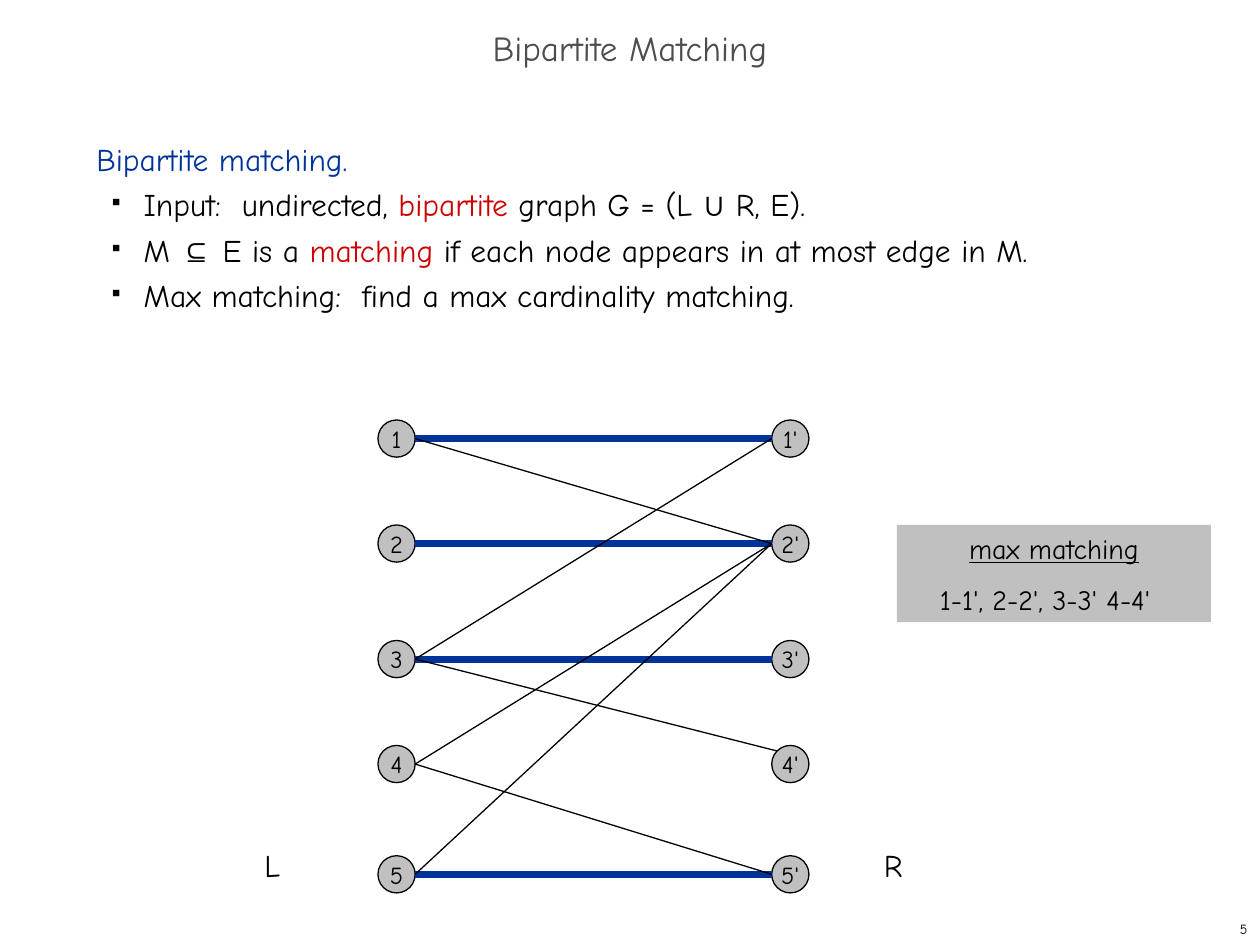
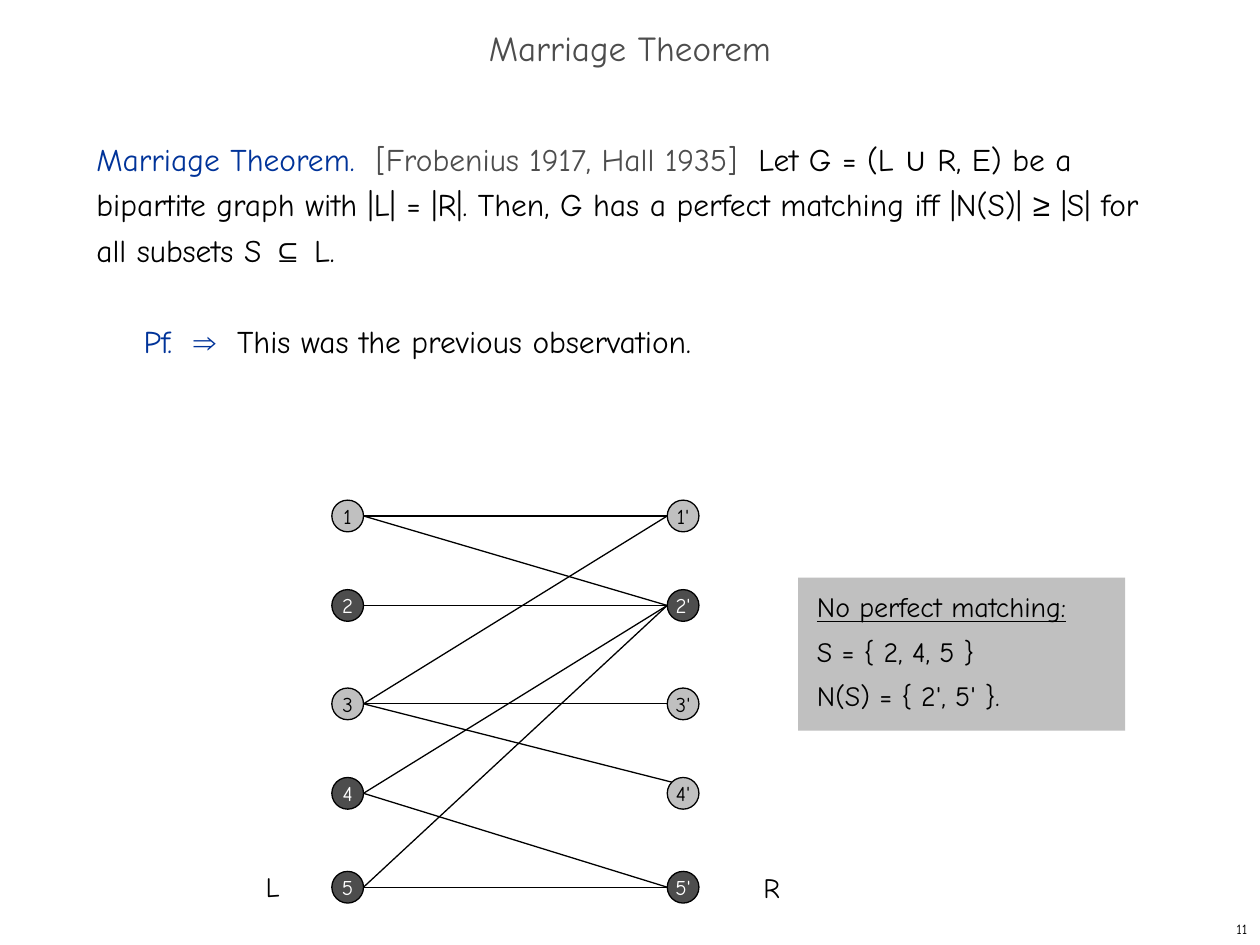
"""Build two slides on bipartite matching and the marriage theorem."""
from dataclasses import dataclass
from itertools import groupby

from lxml import etree
from pptx import Presentation
from pptx.dml.color import RGBColor
from pptx.enum import shapes, text
from pptx.oxml import ns
from pptx.util import Pt


@dataclass(frozen=True)
class Theme:
    """Colours, fonts and type sizes of the deck."""
    ink: str = "000000"
    paper: str = "FFFFFF"
    blue: str = "003399"
    red: str = "CC0000"
    dark: str = "4D4D4D"
    grey: str = "C0C0C0"
    font: str = "Comic Neue"
    symbol_font: str = "Arial"
    symbols: str = "∪⊆≥⇒"
    title: float = 20
    body: float = 18
    callout: float = 16
    page: float = 8
    leading: float = 26
    thin: float = 0.75
    thick: float = 4


THEME = Theme()


@dataclass(frozen=True)
class Box:
    """A rectangle in points."""
    left: float
    top: float
    width: float
    height: float

    def lengths(self) -> tuple:
        """Return the four sides as lengths."""
        return tuple(Pt(v) for v in (self.left, self.top, self.width, self.height))


@dataclass(frozen=True)
class Span:
    """A stretch of text in one style."""
    words: str
    color: str = THEME.ink
    underline: bool = False


@dataclass(frozen=True)
class Line:
    """A paragraph made of spans."""
    spans: tuple
    indent: float = 0
    right_indent: float = 0
    before: float = 0
    bullet: bool = False


@dataclass(frozen=True)
class Style:
    """Paragraph and frame settings of one text."""
    size: float
    align: text.PP_ALIGN = text.PP_ALIGN.LEFT
    anchor: text.MSO_ANCHOR = text.MSO_ANCHOR.TOP
    leading: object = None
    margins: tuple = (7.2, 3.6)
    wrap: bool = True


@dataclass(frozen=True)
class Graph:
    """Placement and look of the five-by-five bipartite graph."""
    left: float
    top: float
    scale: float
    label_size: float
    matched: tuple = ()
    dark_nodes: tuple = ()


@dataclass(frozen=True)
class SideLabel:
    """The name of one side of the graph."""
    name: str
    left: float
    top: float


@dataclass(frozen=True)
class Callout:
    """A grey box beside the graph."""
    box: Box
    lines: tuple
    style: Style


@dataclass(frozen=True)
class Page:
    """All content of one slide."""
    number: int
    title: str
    body: tuple
    graph: Graph
    side_size: float
    sides: tuple
    callout: Callout


TITLE_BOX = Box(0, 12, 720, 36)
BODY_BOX = Box(48, 72, 618, 426)
NUMBER_BOX = Box(570, 522, 150, 18)
BODY_INDENT, BULLET_HANG = 27, 18

ROW_OFFSETS = (0, 60, 126, 186, 249)
SIDE_GAP, NODE_SIZE = 225, 21.25
EDGES = ((1, 1), (2, 2), (3, 3), (5, 5), (1, 2), (4, 2), (3, 4), (4, 5), (5, 2), (3, 1))

TITLE_STYLE = Style(THEME.title, text.PP_ALIGN.CENTER, text.MSO_ANCHOR.MIDDLE, 0.7)
BODY_STYLE = Style(THEME.body, leading=Pt(THEME.leading))
NUMBER_STYLE = Style(THEME.page, text.PP_ALIGN.RIGHT, text.MSO_ANCHOR.MIDDLE)


def bullet_line(*spans: Span) -> Line:
    """Return an indented, bulleted paragraph."""
    return Line(spans, indent=BODY_INDENT, bullet=True)


PAGES = (
    Page(
        5, "Bipartite Matching",
        (
            Line((Span("Bipartite matching.", THEME.blue),)),
            bullet_line(Span("Input:  undirected, "), Span("bipartite", THEME.red),
                        Span(" graph G = (L ∪ R, E).")),
            bullet_line(Span("M ⊆ E is a "), Span("matching", THEME.red),
                        Span(" if each node appears in at most edge in M.")),
            bullet_line(Span("Max matching:  find a max cardinality matching.")),
        ),
        Graph(216, 240, 1, 14, matched=(1, 2, 3, 5)),
        18, (SideLabel("L", 144, 480), SideLabel("R", 498, 480)),
        Callout(
            Box(512.5, 300, 179.5, 55.5),
            (Line((Span("max matching", underline=True),)),
             Line((Span("1-1', 2-2', 3-3' 4-4'"),), right_indent=10, before=10)),
            Style(THEME.callout, text.PP_ALIGN.CENTER),
        ),
    ),
    Page(
        11, "Marriage Theorem",
        (
            Line((Span("Marriage Theorem.  ", THEME.blue),
                  Span("[Frobenius 1917, Hall 1935]  ", THEME.dark),
                  Span("Let G = (L ∪ R, E) be a bipartite graph with |L| = |R|. Then, "
                       "G has a perfect matching iff |N(S)| ≥ |S| for all subsets S ⊆ L."))),
            Line((Span("Pf.  ⇒  ", THEME.blue), Span("This was the previous observation.")),
                 indent=BODY_INDENT, before=THEME.leading),
        ),
        Graph(189.6, 285.8, 0.852, 12, dark_nodes=("2", "4", "5", "2'", "5'")),
        16, (SideLabel("L", 144.7, 493.5), SideLabel("R", 429.1, 494)),
        Callout(
            Box(456, 330, 187, 87.5),
            (Line((Span("No perfect matching:", underline=True),)),
             Line((Span("S = { 2, 4, 5 }"),), before=10),
             Line((Span("N(S) = { 2', 5' }."),), before=10)),
            Style(THEME.callout, leading=0.8, margins=(10.8, 10.8)),
        ),
    ),
)


def rgb(color: str) -> RGBColor:
    """Turn a hex colour into a colour object."""
    return RGBColor.from_string(color)


def add_bullet(properties) -> None:
    """Give a paragraph a small black square bullet."""
    color = etree.SubElement(properties, ns.qn("a:buClr"))
    etree.SubElement(color, ns.qn("a:srgbClr"), val=THEME.ink)
    etree.SubElement(properties, ns.qn("a:buSzPct"), val="35000")
    etree.SubElement(properties, ns.qn("a:buChar"), char="■")


def add_span(paragraph, span: Span, size: float) -> None:
    """Add a span, setting its mathematical symbols in the symbol font."""
    for is_symbol, letters in groupby(span.words, lambda c: c in THEME.symbols):
        run = paragraph.add_run()
        run.text = "".join(letters)
        run.font.name = THEME.symbol_font if is_symbol else THEME.font
        run.font.size = Pt(size)
        run.font.color.rgb = rgb(span.color)
        run.font.underline = span.underline


def write(frame, lines: tuple, style: Style) -> None:
    """Fill a text frame with styled paragraphs."""
    frame.word_wrap = style.wrap
    frame.vertical_anchor = style.anchor
    frame.margin_left = frame.margin_right = Pt(style.margins[0])
    frame.margin_top = frame.margin_bottom = Pt(style.margins[1])
    for index, line in enumerate(lines):
        paragraph = frame.add_paragraph() if index else frame.paragraphs[0]
        paragraph.alignment = style.align
        if style.leading:
            paragraph.line_spacing = style.leading
        if line.before:
            paragraph.space_before = Pt(line.before)
        properties = paragraph._p.get_or_add_pPr()
        properties.set("marL", str(Pt(line.indent)))
        properties.set("marR", str(Pt(line.right_indent)))
        properties.set("indent", str(Pt(-BULLET_HANG if line.bullet else 0)))
        if line.bullet:
            add_bullet(properties)
        for span in line.spans:
            add_span(paragraph, span, style.size)


def add_label(slide, box: Box, lines: tuple, style: Style) -> None:
    """Add a plain text box."""
    write(slide.shapes.add_textbox(*box.lengths()).text_frame, lines, style)


def add_panel(slide, kind: shapes.MSO_SHAPE, box: Box, fill: str, outlined: bool,
              lines: tuple, style: Style) -> None:
    """Add a filled shape holding text."""
    panel = slide.shapes.add_shape(kind, *box.lengths())
    panel.shadow.inherit = False
    panel.fill.solid()
    panel.fill.fore_color.rgb = rgb(fill)
    if outlined:
        panel.line.color.rgb = rgb(THEME.ink)
        panel.line.width = Pt(THEME.thin)
    else:
        panel.line.fill.background()
    write(panel.text_frame, lines, style)


def add_edge(slide, graph: Graph, start: int, end: int) -> None:
    """Join a left node to a right node."""
    size = NODE_SIZE * graph.scale
    y_start, y_end = (graph.top + ROW_OFFSETS[n - 1] * graph.scale + size / 2
                      for n in (start, end))
    x_end = graph.left + SIDE_GAP * graph.scale
    if (start, end) == (3, 4):
        x_end += 0.15 * size
        y_end -= 0.35 * size
    edge = slide.shapes.add_connector(
        shapes.MSO_CONNECTOR.STRAIGHT, Pt(graph.left + size), Pt(y_start), Pt(x_end), Pt(y_end))
    is_matched = start == end and start in graph.matched
    edge.line.color.rgb = rgb(THEME.blue if is_matched else THEME.ink)
    edge.line.width = Pt(THEME.thick if is_matched else THEME.thin)
    etree.SubElement(edge._element.spPr, ns.qn("a:effectLst"))


def add_graph(slide, graph: Graph) -> None:
    """Draw both columns of nodes and the edges between them."""
    size = NODE_SIZE * graph.scale
    style = Style(graph.label_size, text.PP_ALIGN.CENTER, text.MSO_ANCHOR.MIDDLE, wrap=False)
    for row, offset in enumerate(ROW_OFFSETS, 1):
        for side, mark in enumerate(("", "'")):
            name = f"{row}{mark}"
            is_dark = name in graph.dark_nodes
            box = Box(graph.left + side * SIDE_GAP * graph.scale,
                      graph.top + offset * graph.scale, size, size)
            label = Line((Span(name, THEME.paper if is_dark else THEME.ink),))
            add_panel(slide, shapes.MSO_SHAPE.OVAL, box,
                      THEME.dark if is_dark else THEME.grey, True, (label,), style)
    for start, end in EDGES:
        add_edge(slide, graph, start, end)


def add_page(deck, page: Page) -> None:
    """Draw one slide."""
    slide = deck.slides.add_slide(deck.slide_layouts[6])
    add_label(slide, NUMBER_BOX, (Line((Span(str(page.number)),)),), NUMBER_STYLE)
    add_label(slide, TITLE_BOX, (Line((Span(page.title, THEME.dark),)),), TITLE_STYLE)
    add_label(slide, BODY_BOX, page.body, BODY_STYLE)
    add_graph(slide, page.graph)
    for side in page.sides:
        add_label(slide, Box(side.left, side.top, 48, 28),
                  (Line((Span(side.name),)),), Style(page.side_size))
    callout = page.callout
    add_panel(slide, shapes.MSO_SHAPE.RECTANGLE, callout.box, THEME.grey, False,
              callout.lines, callout.style)


def main() -> None:
    """Build and save the deck."""
    deck = Presentation()
    deck.slide_width, deck.slide_height = Pt(720), Pt(540)
    for page in PAGES:
        add_page(deck, page)
    deck.save("out.pptx")


if __name__ == "__main__":
    main()
